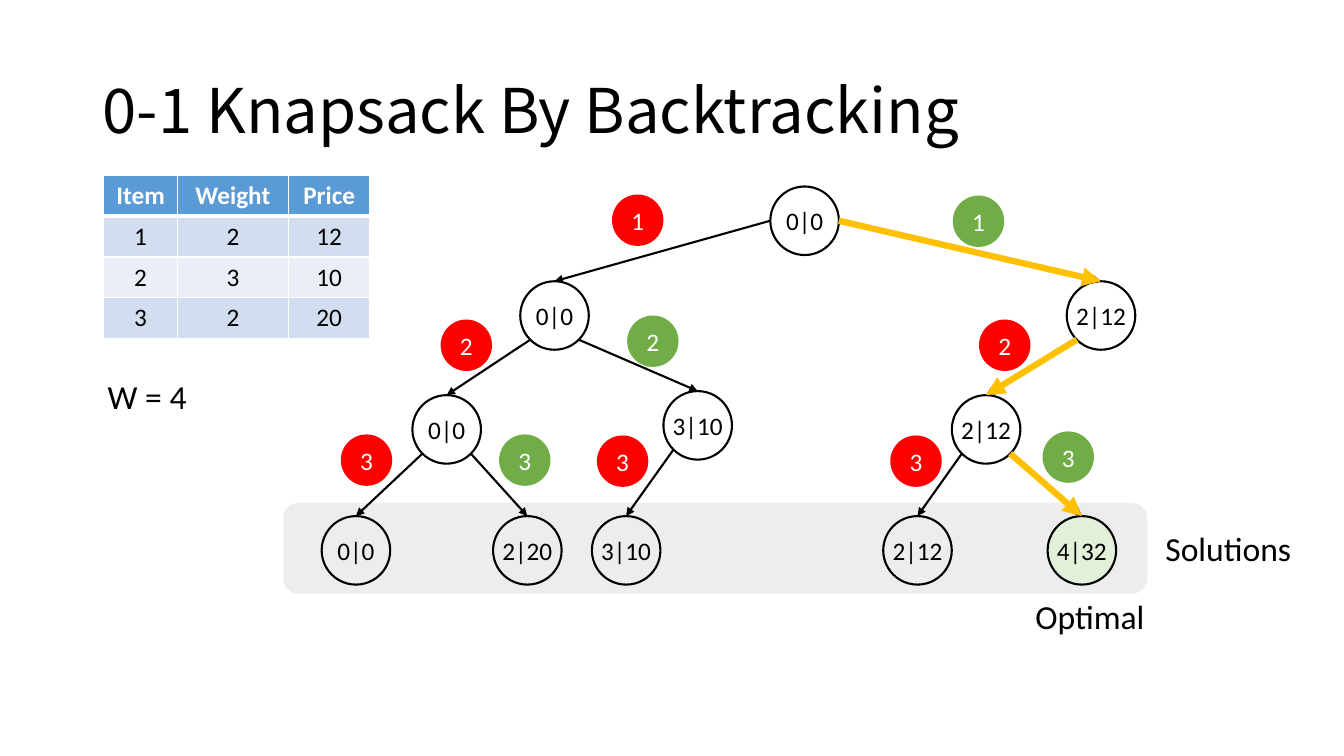
from lxml.etree import SubElement
from pptx import Presentation
from pptx.dml.color import RGBColor
from pptx.enum.shapes import MSO_CONNECTOR, MSO_SHAPE
from pptx.enum.text import MSO_ANCHOR, PP_ALIGN
from pptx.oxml import parse_xml
from pptx.oxml.ns import nsdecls, qn
from pptx.util import Inches, Pt

rgb = RGBColor.from_string


def write(frame, text, size=18, color="000000", font="Calibri", bold=False,
          align=PP_ALIGN.CENTER, anchor=MSO_ANCHOR.MIDDLE, wrap=False, spacing=1.0):
    frame.word_wrap = wrap
    frame.vertical_anchor = anchor
    paragraph = frame.paragraphs[0]
    paragraph.alignment = align
    paragraph.line_spacing = spacing
    run = paragraph.add_run()
    run.text = text
    run.font.size = Pt(size)
    run.font.name = font
    run.font.bold = bold
    run.font.color.rgb = rgb(color)


def add_figure(kind, x, y, width, height, fill=None, outline=None):
    figure = slide.shapes.add_shape(kind, Inches(x), Inches(y), Inches(width), Inches(height))
    figure.shadow.inherit = False
    if fill:
        figure.fill.solid()
        figure.fill.fore_color.rgb = rgb(fill)
    else:
        figure.fill.background()
    if outline:
        figure.line.color.rgb = rgb(outline)
        figure.line.width = Pt(1.5)
    else:
        figure.line.fill.background()
    frame = figure.text_frame
    frame.margin_left = frame.margin_right = frame.margin_top = frame.margin_bottom = 0
    return figure


prs = Presentation()
prs.slide_width, prs.slide_height = Inches(13.33), Inches(7.5)
slide = prs.slides.add_slide(prs.slide_layouts[6])

add_figure(MSO_SHAPE.ROUNDED_RECTANGLE, 2.81, 4.99, 8.57, 0.9, fill="EDEDED")

title = slide.shapes.add_textbox(Inches(0.92), Inches(0.4), Inches(11.5), Inches(1.45))
write(title.text_frame, "0-1 Knapsack By Backtracking", size=44, font="Noto Sans CJK SC",
      align=PP_ALIGN.LEFT, wrap=True, spacing=0.9)

items = [("Item", "Weight", "Price"), ("1", "2", "12"), ("2", "3", "10"), ("3", "2", "20")]
row_fills = ["5B9BD5", "D2DEEF", "EAEFF7", "D2DEEF"]
item_table = slide.shapes.add_table(4, 3, Inches(1.03), Inches(1.74), Inches(2.64), Inches(1.62)).table
for column, width in zip(item_table.columns, [0.73, 1.1, 0.81]):
    column.width = Inches(width)
for r, (item, row_fill) in enumerate(zip(items, row_fills)):
    item_table.rows[r].height = Inches(0.405)
    header = r == 0
    for c, value in enumerate(item):
        cell = item_table.cell(r, c)
        cell.fill.solid()
        cell.fill.fore_color.rgb = rgb(row_fill)
        write(cell.text_frame, value, color="FFFFFF" if header else "000000", bold=header, wrap=True)
        cell.vertical_anchor = MSO_ANCHOR.TOP
        for position, side in enumerate(["lnL", "lnR", "lnT", "lnB"]):
            thick = (header and side == "lnB") or (r == 1 and side == "lnT")
            border = parse_xml(
                f'<a:{side} {nsdecls("a")} w="{Pt(3 if thick else 1)}"><a:solidFill>'
                f'<a:srgbClr val="FFFFFF"/></a:solidFill></a:{side}>')
            cell._tc.get_or_add_tcPr().insert(position, border)

radius = 0.34
states = {
    "root": ("0|0", 7.98, 2.19),
    "skip 1": ("0|0", 5.5, 3.13),
    "take 1": ("2|12", 10.92, 3.13),
    "skip 1, 2": ("0|0", 4.43, 4.26),
    "take 2": ("3|10", 6.92, 4.22),
    "take 1, skip 2": ("2|12", 9.78, 4.26),
    "nothing": ("0|0", 3.53, 5.46),
    "only 3": ("2|20", 5.23, 5.46),
    "only 2": ("3|10", 6.21, 5.46),
    "only 1": ("2|12", 9.1, 5.46),
    "optimal": ("4|32", 10.73, 5.46),
}
nodes = {}
for name, (weight_price, x, y) in states.items():
    nodes[name] = add_figure(MSO_SHAPE.OVAL, x - radius, y - radius, 2 * radius, 2 * radius,
                             fill="E2F0D9" if name == "optimal" else None, outline="000000")
    write(nodes[name].text_frame, weight_price)

choices = [
    ("root", "skip 1"), ("root", "take 1"),
    ("skip 1", "skip 1, 2"), ("skip 1", "take 2"),
    ("skip 1, 2", "nothing"), ("skip 1, 2", "only 3"),
    ("take 2", "only 2"),
    ("take 1, skip 2", "only 1"), ("take 1, skip 2", "optimal"),
    ("take 1", "take 1, skip 2"),
]
best_path = [("root", "take 1"), ("take 1", "take 1, skip 2"), ("take 1, skip 2", "optimal")]
arrows = [(*choice, "000000", 1.5) for choice in choices]
arrows += [(*choice, "FFC000", 4.5) for choice in best_path]
for parent, child, color, weight in arrows:
    parent_x, parent_y = states[parent][1:]
    child_x, child_y = states[child][1:]
    dx, dy = (radius, 0) if parent == "root" else (0.24, 0.24)
    start_x = parent_x + (dx if child_x > parent_x else -dx)
    arrow = slide.shapes.add_connector(
        MSO_CONNECTOR.STRAIGHT, Inches(start_x), Inches(parent_y + dy),
        Inches(child_x), Inches(child_y - radius))
    arrow.end_connect(nodes[child], 0)
    arrow.line.color.rgb = rgb(color)
    arrow.line.width = Pt(weight)
    SubElement(arrow.line._get_or_add_ln(), qn("a:tailEnd"), type="triangle")
    SubElement(arrow._element.spPr, qn("a:effectLst"))

skipped, taken = "FF0000", "70AD47"
decisions = [
    ("1", 9.45, 1.94, taken), ("1", 6.07, 1.93, skipped),
    ("2", 4.37, 3.17, skipped), ("3", 3.38, 4.31, skipped),
    ("3", 5.92, 4.32, skipped), ("2", 9.71, 3.17, skipped),
    ("3", 8.83, 4.32, skipped), ("2", 6.22, 3.13, taken),
    ("3", 10.34, 4.28, taken), ("3", 4.95, 4.31, taken),
]
for item, x, y, color in decisions:
    badge = add_figure(MSO_SHAPE.OVAL, x, y, 0.51, 0.51, fill=color)
    write(badge.text_frame, item, color="FFFFFF")

captions = [("W = 4", 0.97, 3.68, 0.99), ("Solutions", 11.46, 5.19, 1.46), ("Optimal", 10.17, 5.86, 1.3)]
for text, x, y, width in captions:
    caption = slide.shapes.add_textbox(Inches(x), Inches(y), Inches(width), Inches(0.5))
    write(caption.text_frame, text, size=24, align=PP_ALIGN.LEFT, anchor=MSO_ANCHOR.TOP)

prs.save("out.pptx")
